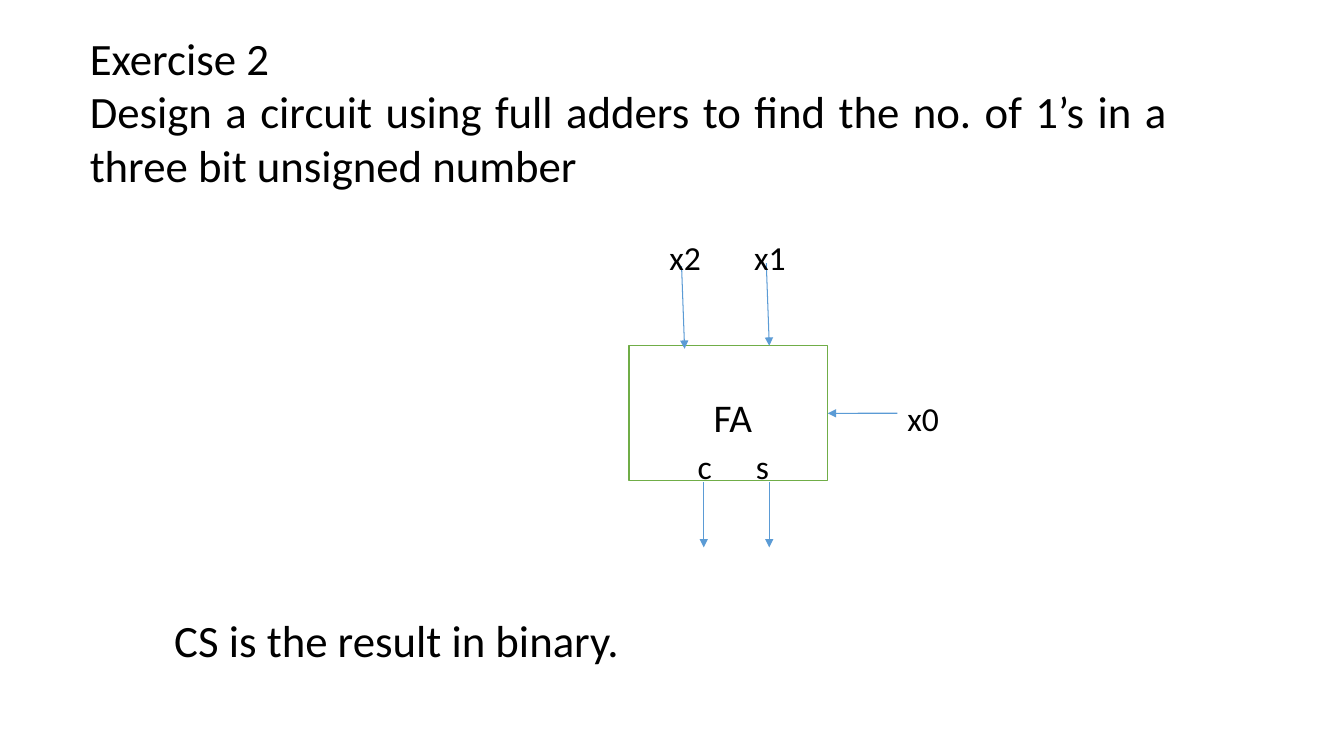
from lxml import etree
from pptx import Presentation
from pptx.dml.color import RGBColor
from pptx.enum.shapes import MSO_CONNECTOR, MSO_SHAPE
from pptx.enum.text import MSO_ANCHOR, MSO_AUTO_SIZE, PP_ALIGN
from pptx.oxml.ns import qn
from pptx.util import Inches, Pt

RECTANGLE = MSO_SHAPE.RECTANGLE
STRAIGHT = MSO_CONNECTOR.STRAIGHT
TOP = MSO_ANCHOR.TOP
NO_AUTOFIT = MSO_AUTO_SIZE.NONE
LEFT, JUSTIFY = PP_ALIGN.LEFT, PP_ALIGN.JUSTIFY
RIGHT_SIDE = 3


def color(hex_value):
    return RGBColor.from_string(hex_value)


class CircuitSlide:
    font = "Calibri"
    ink = "000000"
    paper = "FFFFFF"
    wire = "5B9BD5"
    outline = "70AD47"

    def __init__(self, presentation):
        self.slide = presentation.slides.add_slide(presentation.slide_layouts[5])

    def fill_text(self, frame, lines, size, align, wrap):
        frame.auto_size = NO_AUTOFIT
        frame.word_wrap = wrap
        frame.vertical_anchor = TOP
        for index, line in enumerate(lines):
            paragraph = frame.add_paragraph() if index else frame.paragraphs[0]
            paragraph.alignment = align
            run = paragraph.add_run()
            run.text = line
            run.font.name = self.font
            run.font.size = Pt(size)
            run.font.color.rgb = color(self.ink)

    def title(self, lines, left, top, width, height, size=32):
        heading = self.slide.shapes.title
        heading.left, heading.top = Inches(left), Inches(top)
        heading.width, heading.height = Inches(width), Inches(height)
        self.fill_text(heading.text_frame, lines, size, JUSTIFY, True)

    def label(self, text, left, top, width, height=0.5, size=24):
        box = self.slide.shapes.add_textbox(
            Inches(left), Inches(top), Inches(width), Inches(height))
        self.fill_text(box.text_frame, [text], size, LEFT, False)

    def block(self, left, top, width, height):
        shape = self.slide.shapes.add_shape(
            RECTANGLE, Inches(left), Inches(top), Inches(width), Inches(height))
        shape.shadow.inherit = False
        shape.fill.solid()
        shape.fill.fore_color.rgb = color(self.paper)
        shape.line.color.rgb = color(self.outline)
        shape.line.width = Pt(1)
        return shape

    def arrow(self, x1, y1, x2, y2):
        connector = self.slide.shapes.add_connector(
            STRAIGHT, Inches(x1), Inches(y1), Inches(x2), Inches(y2))
        connector.line.color.rgb = color(self.wire)
        connector.line.width = Pt(0.75)
        properties = connector._element.spPr
        line = properties.find(qn("a:ln"))
        etree.SubElement(line, qn("a:tailEnd"), type="triangle")
        etree.SubElement(properties, qn("a:effectLst"))
        return connector


def main():
    presentation = Presentation()
    presentation.slide_width = Inches(13.33)
    presentation.slide_height = Inches(7.5)
    circuit = CircuitSlide(presentation)

    circuit.title(
        ["Exercise 2",
         "Design a circuit using full adders to find the no. of 1’s in a "
         "three bit unsigned number"],
        0.79, 0.25, 10.9, 1.72)

    full_adder = circuit.block(6.24, 3.43, 1.97, 1.34)

    for name, label_left, wire_left, wire_top in (
            ("x2", 6.54, 6.76, 2.64), ("x1", 7.38, 7.6, 2.61)):
        circuit.arrow(wire_left, wire_top, wire_left + 0.03, wire_top + 0.82)
        circuit.label(name, label_left, 2.3, 0.52)

    carry_in = circuit.arrow(8.9, 4.1, 8.21, 4.1)
    carry_in.end_connect(full_adder, RIGHT_SIDE)
    circuit.label("x0", 8.9, 3.9, 0.52)
    circuit.label("FA", 6.98, 3.85, 0.59, 0.57, size=28)

    for name, label_left, label_width, wire_x in (
            ("s", 7.4, 0.33, 7.63), ("c", 6.82, 0.34, 6.98)):
        circuit.arrow(wire_x, 4.78, wire_x, 5.43)
        circuit.label(name, label_left, 4.37, label_width)

    circuit.label("CS is the result in binary.", 1.63, 6.03, 4.66, 0.64, size=32)

    presentation.save("out.pptx")


if __name__ == "__main__":
    main()
